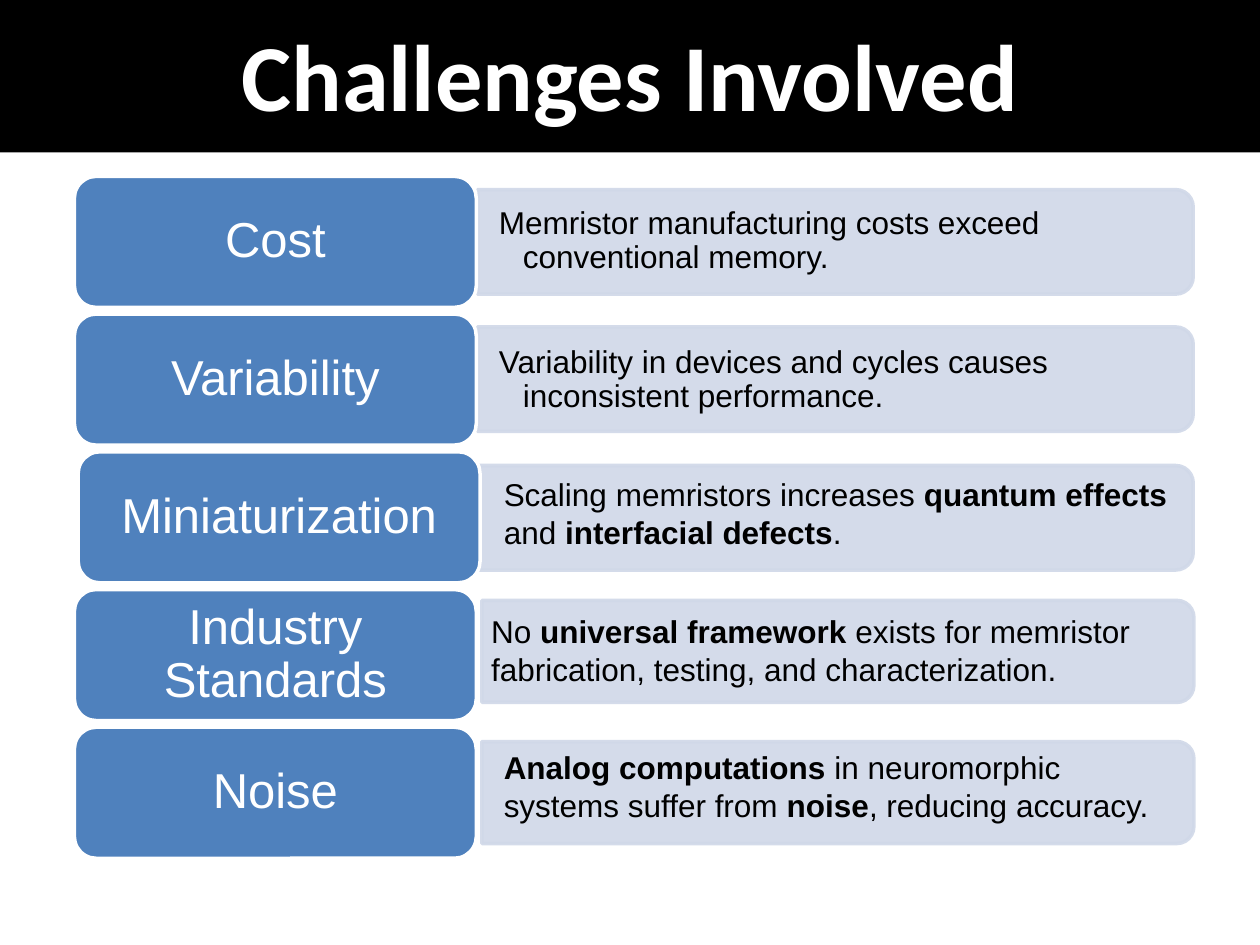
from lxml.etree import SubElement
from pptx import Presentation
from pptx.dml.color import RGBColor
from pptx.enum.shapes import MSO_SHAPE as Shape
from pptx.enum.text import MSO_ANCHOR as Anchor, MSO_AUTO_SIZE as AutoSize, PP_ALIGN as Align
from pptx.oxml.ns import qn
from pptx.util import Inches, Pt

COLORS = {"black": "000000", "white": "FFFFFF", "label": "4F81BD", "panel": "D0D8E8"}
ROW_TOP, ROW_PITCH = 1.4, 1.093
LABEL_WIDTH, LABEL_HEIGHT = 3.19, 1.04

# label, label left, panel (center x, center y, width, height),
# text box (left, top, width, height), hanging indent, text with **bold** parts
ROWS = [
    ("Cost", 0.59, (6.63, 1.92, 5.68, 0.83), (3.79, 1.54, 5.64, 0.75), True,
     "Memristor manufacturing costs exceed conventional memory."),
    ("Variability", 0.59, (6.63, 3.01, 5.68, 0.83), (3.79, 2.64, 5.64, 0.75), True,
     "Variability in devices and cycles causes inconsistent performance."),
    ("Miniaturization", 0.62, (6.63, 4.11, 5.68, 0.83), (3.9, 3.72, 5.47, 0.71), False,
     "Scaling memristors increases **quantum effects** and **interfacial defects**."),
    ("Industry Standards", 0.59, (6.65, 5.17, 5.65, 0.81), (3.8, 4.81, 5.58, 0.71), False,
     "No **universal framework** exists for memristor fabrication, testing, and characterization."),
    ("Noise", 0.59, (6.65, 6.29, 5.65, 0.81), (3.9, 5.89, 5.47, 0.71), False,
     "**Analog computations** in neuromorphic systems suffer from **noise**, reducing accuracy."),
]


def paint(shape, fill, line):
    shape.shadow.inherit = False
    shape.fill.solid()
    shape.fill.fore_color.rgb = RGBColor.from_string(COLORS[fill])
    shape.line.color.rgb = RGBColor.from_string(COLORS[line])
    shape.line.width = Pt(2)


def set_font(paragraph, name, size, color):
    paragraph.font.name = name
    paragraph.font.size = Pt(size)
    paragraph.font.color.rgb = RGBColor.from_string(COLORS[color])


presentation = Presentation()
presentation.slide_width, presentation.slide_height = Inches(10), Inches(7.5)
slide = presentation.slides.add_slide(presentation.slide_layouts[5])

title = slide.shapes.title
title.left, title.top = Inches(0), Inches(-0.04)
title.width, title.height = Inches(10), Inches(1.25)
title.fill.solid()
title.fill.fore_color.rgb = RGBColor.from_string(COLORS["black"])
title.text_frame.text = "Challenges Involved"
title.text_frame.auto_size = AutoSize.NONE
title.text_frame.vertical_anchor = Anchor.MIDDLE
paragraph = title.text_frame.paragraphs[0]
paragraph.alignment = Align.CENTER
set_font(paragraph, "Calibri", 54, "white")
paragraph.font.bold = True

for index, (name, label_left, panel_box, text_box, hanging, text) in enumerate(ROWS):
    # The panel is a tall shape turned on its side, so its rounded end faces right
    center_x, center_y, width, height = panel_box
    panel = slide.shapes.add_shape(
        Shape.ROUND_2_SAME_RECTANGLE,
        Inches(center_x - height / 2), Inches(center_y - width / 2),
        Inches(height), Inches(width))
    panel.rotation = 90
    paint(panel, "panel", "panel")
    for color in panel._element.spPr.iter(qn("a:srgbClr")):
        SubElement(color, qn("a:alpha"), val="90000")

    label = slide.shapes.add_shape(
        Shape.ROUNDED_RECTANGLE, Inches(label_left), Inches(ROW_TOP + index * ROW_PITCH),
        Inches(LABEL_WIDTH), Inches(LABEL_HEIGHT))
    paint(label, "label", "white")
    frame = label.text_frame
    frame.margin_left = frame.margin_right = Inches(0.17)
    frame.margin_top = frame.margin_bottom = Inches(0.11)
    frame.word_wrap = True
    frame.vertical_anchor = Anchor.MIDDLE
    frame.text = name
    paragraph = frame.paragraphs[0]
    paragraph.alignment = Align.CENTER
    paragraph.line_spacing = 0.9
    set_font(paragraph, "Arial", 28, "white")

    frame = slide.shapes.add_textbox(*map(Inches, text_box)).text_frame
    frame.word_wrap = True
    paragraph = frame.paragraphs[0]
    set_font(paragraph, "Arial", 18, "black")
    if hanging:
        frame.vertical_anchor = Anchor.MIDDLE
        frame.margin_left = frame.margin_right = Inches(0.17)
        frame.margin_top = frame.margin_bottom = Inches(0.08)
        paragraph.line_spacing = 0.9
        properties = paragraph._p.get_or_add_pPr()
        properties.set("marL", str(Inches(0.19)))
        properties.set("indent", str(Inches(-0.19)))
    for position, part in enumerate(text.split("**")):
        if part:
            run = paragraph.add_run()
            run.text = part
            run.font.bold = position % 2 == 1

presentation.save("out.pptx")
